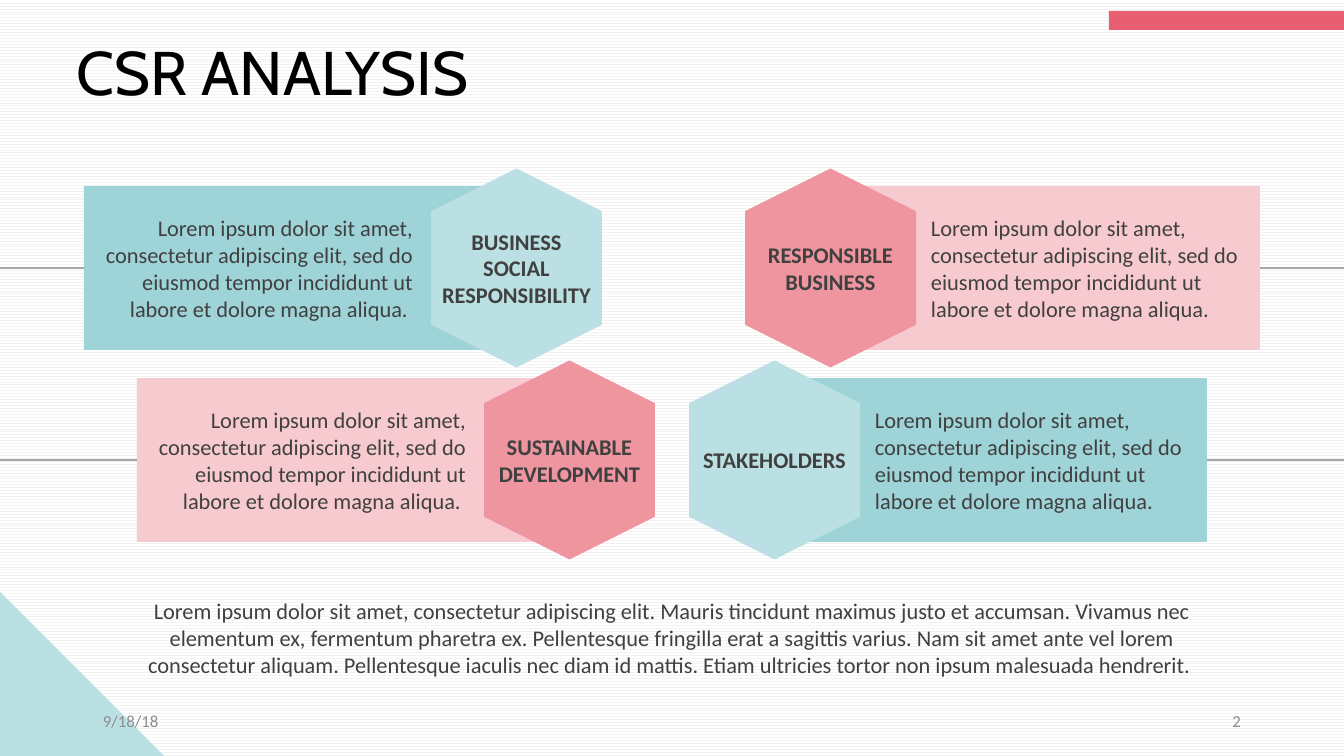
from lxml import etree
from pptx import Presentation
from pptx.dml.color import RGBColor
from pptx.enum.dml import MSO_PATTERN
from pptx.enum.shapes import MSO_CONNECTOR, MSO_SHAPE
from pptx.enum.text import MSO_ANCHOR, MSO_AUTO_SIZE, PP_ALIGN
from pptx.oxml.ns import qn
from pptx.util import Emu, Pt

SLIDE_W, SLIDE_H = 1344, 756
SCALE = 12192000 / SLIDE_W

RECTANGLE, HEXAGON = MSO_SHAPE.RECTANGLE, MSO_SHAPE.HEXAGON
TRIANGLE = MSO_SHAPE.RIGHT_TRIANGLE
LEFT, CENTER, RIGHT = PP_ALIGN.LEFT, PP_ALIGN.CENTER, PP_ALIGN.RIGHT
TOP, MIDDLE = MSO_ANCHOR.TOP, MSO_ANCHOR.MIDDLE
SIDE_LEFT, SIDE_RIGHT = 1, 3

WHITE = RGBColor(0xFF, 0xFF, 0xFF)
BLACK = RGBColor(0x00, 0x00, 0x00)
PATTERN_GRAY = RGBColor(0xF2, 0xF2, 0xF2)
TEXT_GRAY = RGBColor(0x40, 0x40, 0x40)
FOOTER_GRAY = RGBColor(0x8C, 0x8C, 0x8C)
LINE_GRAY = RGBColor(0xA6, 0xA6, 0xA6)
ACCENT_RED = RGBColor(0xE7, 0x5F, 0x71)
PINK = RGBColor(0xF7, 0xCA, 0xD0)
ROSE = RGBColor(0xEF, 0x95, 0xA0)
TEAL = RGBColor(0x9E, 0xD3, 0xD7)
PALE_TEAL = RGBColor(0xBB, 0xE0, 0xE3)

PANEL_W, PANEL_H = 432, 164
HEX_W, HEX_H = 171, 199
LABEL_W, BODY_W, LINE_H = 152, 312, 27
BODY_H = 4 * LINE_H

LOREM = ("Lorem ipsum dolor sit amet, consectetur adipiscing elit, sed do "
         "eiusmod tempor incididunt ut labore et dolore magna aliqua.")
SUMMARY = ("Lorem ipsum dolor sit amet, consectetur adipiscing elit. Mauris "
           "tincidunt maximus justo et accumsan. Vivamus nec elementum ex, "
           "fermentum pharetra ex. Pellentesque fringilla erat a sagittis "
           "varius. Nam sit amet ante vel lorem consectetur aliquam. "
           "Pellentesque iaculis nec diam id mattis. Etiam ultricies tortor "
           "non ipsum malesuada hendrerit. ")

# label, panel x, hexagon x, panel y, panel colour, hexagon colour, on the left
TOPICS = [
    ("SUSTAINABLE DEVELOPMENT", 137, 484, 378, PINK, ROSE, True),
    ("STAKEHOLDERS", 775, 689, 378, TEAL, PALE_TEAL, False),
    ("BUSINESS SOCIAL RESPONSIBILITY", 84, 431, 186, TEAL, PALE_TEAL, True),
    ("RESPONSIBLE BUSINESS", 828, 745, 186, PINK, ROSE, False),
]


def px(length):
    return Emu(round(length * SCALE))


def write_text(box, text, size=16, font="Calibri", color=TEXT_GRAY, bold=False,
               align=LEFT, anchor=MIDDLE, insets=(0, 0)):
    frame = box.text_frame
    frame.word_wrap = True
    frame.auto_size = MSO_AUTO_SIZE.NONE
    frame.vertical_anchor = anchor
    frame.margin_left = frame.margin_right = px(insets[0])
    frame.margin_top = frame.margin_bottom = px(insets[1])
    para = frame.paragraphs[0]
    para.alignment = align
    span = para.add_run()
    span.text = text
    span.font.size = Pt(size)
    span.font.name = font
    span.font.bold = bold
    span.font.color.rgb = color


def add_text(shapes, x, y, width, height, text, **text_format):
    box = shapes.add_textbox(px(x), px(y), px(width), px(height))
    write_text(box, text, **text_format)


def add_plain_shape(shapes, kind, x, y, width, height, color):
    shape = shapes.add_shape(kind, px(x), px(y), px(width), px(height))
    shape.shadow.inherit = False
    shape.fill.solid()
    shape.fill.fore_color.rgb = color
    shape.line.fill.background()
    return shape


def add_edge_line(shapes, panel, on_left):
    """Run a line from the slide edge to the outer side of a panel."""
    edge = px(0 if on_left else SLIDE_W)
    middle = panel.top + panel.height // 2
    line = shapes.add_connector(MSO_CONNECTOR.STRAIGHT, edge, middle, edge, middle)
    line.end_connect(panel, SIDE_LEFT if on_left else SIDE_RIGHT)
    line.line.color.rgb = LINE_GRAY
    line.line.width = Pt(1)
    etree.SubElement(line._element.spPr, qn("a:effectLst"))


def add_topic(slide, label, panel_x, hex_x, y, panel_color, hex_color, on_left):
    middle = y + PANEL_H / 2
    group = slide.shapes.add_group_shape().shapes
    panel = add_plain_shape(group, RECTANGLE, panel_x, y, PANEL_W, PANEL_H, panel_color)
    # The hexagon lies on its side until it is turned about its centre.
    hexagon = add_plain_shape(group, HEXAGON, hex_x - (HEX_H - HEX_W) / 2,
                              middle - HEX_W / 2, HEX_H, HEX_W, hex_color)
    hexagon.rotation = 90
    label_h = LINE_H * len(label.split())
    add_text(group, hex_x + (HEX_W - LABEL_W) / 2, middle - label_h / 2,
             LABEL_W, label_h, label, bold=True, align=CENTER)

    add_text(slide.shapes, panel_x + 17 if on_left else hex_x + 186,
             middle - BODY_H / 2, BODY_W, BODY_H,
             LOREM + " " if on_left else LOREM,
             align=RIGHT if on_left else LEFT)
    add_edge_line(slide.shapes, panel, on_left)


def set_background(slide):
    fill = slide.background.fill
    fill.patterned()
    fill.pattern = MSO_PATTERN.ZIG_ZAG
    fill.fore_color.rgb = PATTERN_GRAY
    fill.back_color.rgb = WHITE


def add_title(slide, text):
    title = slide.shapes.title
    title.left, title.top, title.width, title.height = px(77), px(34), px(1191), px(75)
    write_text(title, text, size=44, font="Cabin", color=BLACK, anchor=TOP)


def main():
    deck = Presentation()
    deck.slide_width, deck.slide_height = px(SLIDE_W), px(SLIDE_H)
    slide = deck.slides.add_slide(deck.slide_layouts[5])
    set_background(slide)
    add_title(slide, "CSR ANALYSIS")

    add_plain_shape(slide.shapes, TRIANGLE, 0, 592, 164, 164, PALE_TEAL)
    add_plain_shape(slide.shapes, RECTANGLE, 1109, 11, 235, 19, ACCENT_RED)
    for x, text, align in ((93, "9/18/18", LEFT), (949, "2", RIGHT)):
        add_text(slide.shapes, x, 701, 302, 40, text, size=12,
                 color=FOOTER_GRAY, align=align, insets=(10, 5))

    for topic in TOPICS:
        add_topic(slide, *topic)
    add_text(slide.shapes, 126, 597, 1092, 3 * LINE_H, SUMMARY,
             align=CENTER, anchor=TOP)
    deck.save("out.pptx")


if __name__ == "__main__":
    main()
